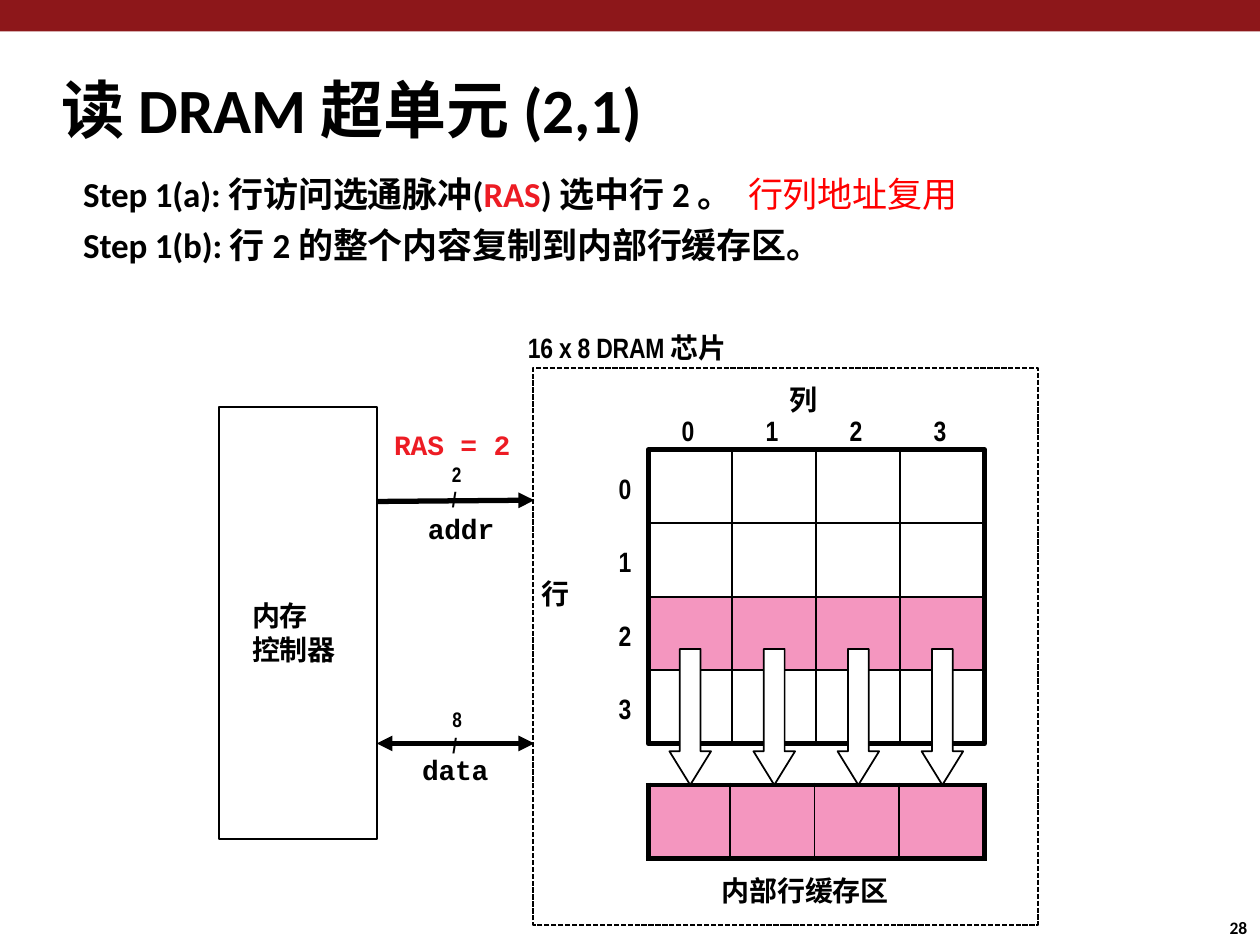
"""Build the slide on reading a DRAM supercell: the row access step."""
from lxml.etree import SubElement
from pptx import Presentation
from pptx.dml.color import RGBColor
from pptx.enum.dml import MSO_LINE
from pptx.enum.shapes import MSO_CONNECTOR, MSO_SHAPE
from pptx.enum.text import MSO_ANCHOR, MSO_AUTO_SIZE, PP_ALIGN
from pptx.oxml.ns import qn
from pptx.util import Inches, Pt

BLACK = RGBColor(0x00, 0x00, 0x00)
WHITE = RGBColor(0xFF, 0xFF, 0xFF)
CRIMSON = RGBColor(0x8D, 0x17, 0x1A)
RED = RGBColor(0xFF, 0x00, 0x00)
SIGNAL_RED = RGBColor(0xED, 0x1C, 0x24)
PINK = RGBColor(0xF4, 0x96, 0xBF)

HEADING = {"name": "Calibri", "size": Pt(36), "bold": True}
STEP = {"name": "Calibri", "size": Pt(20), "bold": True}
ASIDE = {**STEP, "bold": False}
LABEL = {"name": "Arial Narrow", "size": Pt(16), "bold": True}
BITS = {**LABEL, "size": Pt(12)}
SIGNAL = {"name": "Courier New", "size": Pt(16), "bold": True}
PAGE = {"name": "Calibri", "size": Pt(10), "bold": True}

CENTRED = {"alignment": PP_ALIGN.CENTER}
LEFT = {"alignment": PP_ALIGN.LEFT, "space_before": Pt(0)}
FRAME = {"margin_left": 0, "margin_top": 0, "margin_right": 0, "margin_bottom": 0,
         "word_wrap": True, "auto_size": MSO_AUTO_SIZE.NONE,
         "vertical_anchor": MSO_ANCHOR.TOP}

# Slide grid: 100 columns by 75 rows
COLUMNS, ROWS = 100, 75
CELLS = 4
ACTIVE_ROW = 2
CELL_W, CELL_H = 6.67, 5.83
ARRAY_X, ARRAY_Y = 51.45, 35.7
BUFFER_Y = 62.3
BUFFER_COLUMNS = (6.5, 6.7, 6.7, 6.8)
ARROW_W, ARROW_Y = 3.3, 51.5
CONTROLLER = (17.4, 32.3, 12.5, 34.3)
CHIP = (42.3, 29.2, 40.1, 44.2)

TITLE = [([("读 DRAM 超单元 (2,1)", HEADING, BLACK)], LEFT, 0.1)]
STEPS = [
    ([("Step 1(a): 行访问选通脉冲(", STEP, BLACK), ("RAS", STEP, SIGNAL_RED),
      (") 选中行 2 。  ", STEP, BLACK), ("行列地址复用", ASIDE, RED)], LEFT, 0.1),
    ([("Step 1(b): 行 2 的整个内容复制到内部行缓存区。", STEP, BLACK)],
     {**LEFT, "space_before": Pt(4.8)}, 0.1),
]
ADDRESS = [
    ([("RAS = 2", SIGNAL, SIGNAL_RED)], CENTRED, 0),
    ([("2", BITS, BLACK)], {**CENTRED, "space_before": Pt(0.5)}, 0.7),
    ([("/", BITS, BLACK)], {**CENTRED, "line_spacing": Pt(14.2)}, 0.3),
    ([("addr", SIGNAL, BLACK)], {**CENTRED, "line_spacing": Pt(18.9)}, 1.4),
]
DATA_BITS = [([(mark, BITS, BLACK)], LEFT, 0.1) for mark in ("8", "/")]
CONTROLLER_NAME = [([(line, LABEL, BLACK)], LEFT, 0) for line in ("内存", "控制器")]
LABELS = [
    ("列", LABEL, (62.6, 30.4, 4.2, 2.7)),
    ("行", LABEL, (42.9, 45.8, 3, 2.7)),
    ("16 x 8 DRAM 芯片", LABEL, (41.8, 26.2, 20, 2.8)),
    ("data", SIGNAL, (33.4, 59.7, 5.8, 3)),
    ("内部行缓存区", LABEL, (57.2, 69.3, 16.3, 2.7)),
    ("28", PAGE, (97.5, 72.8, 2.2, 1.7)),
]
BUSES = [((29.9, 39.8, 42.4, 39.7), ("tailEnd",)),
         ((29.9, 59, 42.4, 59), ("headEnd", "tailEnd"))]

deck = Presentation()
deck.slide_width, deck.slide_height = Inches(10), Inches(7.5)
slide = deck.slides.add_slide(deck.slide_layouts[1])


def grid(columns, rows):
    return int(deck.slide_width * columns / COLUMNS), int(deck.slide_height * rows / ROWS)


def area(left, top, width, height):
    return *grid(left, top), *grid(width, height)


def assign(target, values):
    for name, value in values.items():
        setattr(target, name, value)


def write(holder, paragraphs, **frame):
    text = holder.text_frame
    assign(text, {**FRAME, **frame})
    for number, (runs, layout, indent) in enumerate(paragraphs):
        paragraph = text.add_paragraph() if number else text.paragraphs[0]
        assign(paragraph, layout)
        properties = paragraph._p.get_or_add_pPr()
        properties.set("marL", str(grid(indent, 0)[0]))
        properties.set("indent", "0")
        SubElement(properties, qn("a:buNone"))
        for words, style, colour in runs:
            run = paragraph.add_run()
            run.text = words
            assign(run.font, style)
            run.font.color.rgb = colour
            run.font._element.set("spc", "-10")


def label(words, style, box):
    write(slide.shapes.add_textbox(*area(*box)), [([(words, style, BLACK)], LEFT, 0.1)])


def block(box, fill=None, line=BLACK, width=1, preset=MSO_SHAPE.RECTANGLE):
    shape = slide.shapes.add_shape(preset, *area(*box))
    shape.shadow.inherit = False
    for part, colour in ((shape.fill, fill), (shape.line.fill, line)):
        if colour is None:
            part.background()
        else:
            part.solid()
            part.fore_color.rgb = colour
    shape.line.width = Pt(width)
    return shape


def bus(ends, heads):
    start, finish = grid(*ends[:2]), grid(*ends[2:])
    wire = slide.shapes.add_connector(MSO_CONNECTOR.STRAIGHT, *start, *finish)
    wire.line.color.rgb = BLACK
    wire.line.width = Pt(3)
    for head in heads:
        SubElement(wire.line._get_or_add_ln(), qn(f"a:{head}"), type="triangle")
    SubElement(wire._element.spPr, qn("a:effectLst"))


def row_buffer():
    box = area(ARRAY_X, BUFFER_Y, sum(BUFFER_COLUMNS), CELL_H)
    table = slide.shapes.add_table(1, CELLS, *box).table
    assign(table, {"first_row": False, "horz_banding": False})
    for index, width in enumerate(BUFFER_COLUMNS):
        table.columns[index].width = grid(width, 0)[0]
        cell = table.cell(0, index)
        borders = {"lnL": 1 if index else 3, "lnR": 3 if index == CELLS - 1 else 1,
                   "lnT": 3, "lnB": 3}
        for side, points in borders.items():
            border = SubElement(cell._tc.get_or_add_tcPr(), qn(f"a:{side}"), w=str(Pt(points)))
            SubElement(SubElement(border, qn("a:solidFill")), qn("a:srgbClr"), val=str(BLACK))
        cell.fill.solid()
        cell.fill.fore_color.rgb = PINK


block((0, 0, COLUMNS, 2.5), CRIMSON, None)
title, steps = slide.placeholders
for holder, box, paragraphs in ((title, (4.8, 5.6, 62.4, 6), TITLE),
                                (steps, (6.5, 13.7, 88.3, 8), STEPS)):
    assign(holder, dict(zip(("left", "top", "width", "height"), area(*box))))
    write(holder, paragraphs)

block(CHIP).line.dash_style = MSO_LINE.SQUARE_DOT
controller = block(CONTROLLER, WHITE)
write(controller, CONTROLLER_NAME, margin_left=grid(2.6, 0)[0], margin_top=grid(0, 15.2)[1])
for ends, heads in BUSES:
    bus(ends, heads)
write(slide.shapes.add_textbox(*area(31.1, 33.9, 9.6, 9.7)), ADDRESS)
write(slide.shapes.add_textbox(*area(35.8, 56.1, 1, 4.2)), DATA_BITS)
for words, style, box in LABELS:
    label(words, style, box)

for row in range(CELLS):
    for column in range(CELLS):
        block((ARRAY_X + column * CELL_W, ARRAY_Y + row * CELL_H, CELL_W, CELL_H),
              PINK if row == ACTIVE_ROW else None)
block((ARRAY_X, ARRAY_Y, CELLS * CELL_W, CELLS * CELL_H), width=3)
row_buffer()
for index in range(CELLS):
    label(str(index), LABEL, (54 + index * CELL_W, 32.8, 1.3, 2.8))
    label(str(index), LABEL, (49, 37.4 + index * CELL_H, 1.3, 2.8))
    arrow_x = ARRAY_X + (index + 0.5) * CELL_W - ARROW_W / 2
    arrow = block((arrow_x, ARROW_Y, ARROW_W, BUFFER_Y - ARROW_Y), WHITE,
                  preset=MSO_SHAPE.DOWN_ARROW)
    arrow.adjustments[0], arrow.adjustments[1] = 0.5, 0.81

deck.save("out.pptx")
